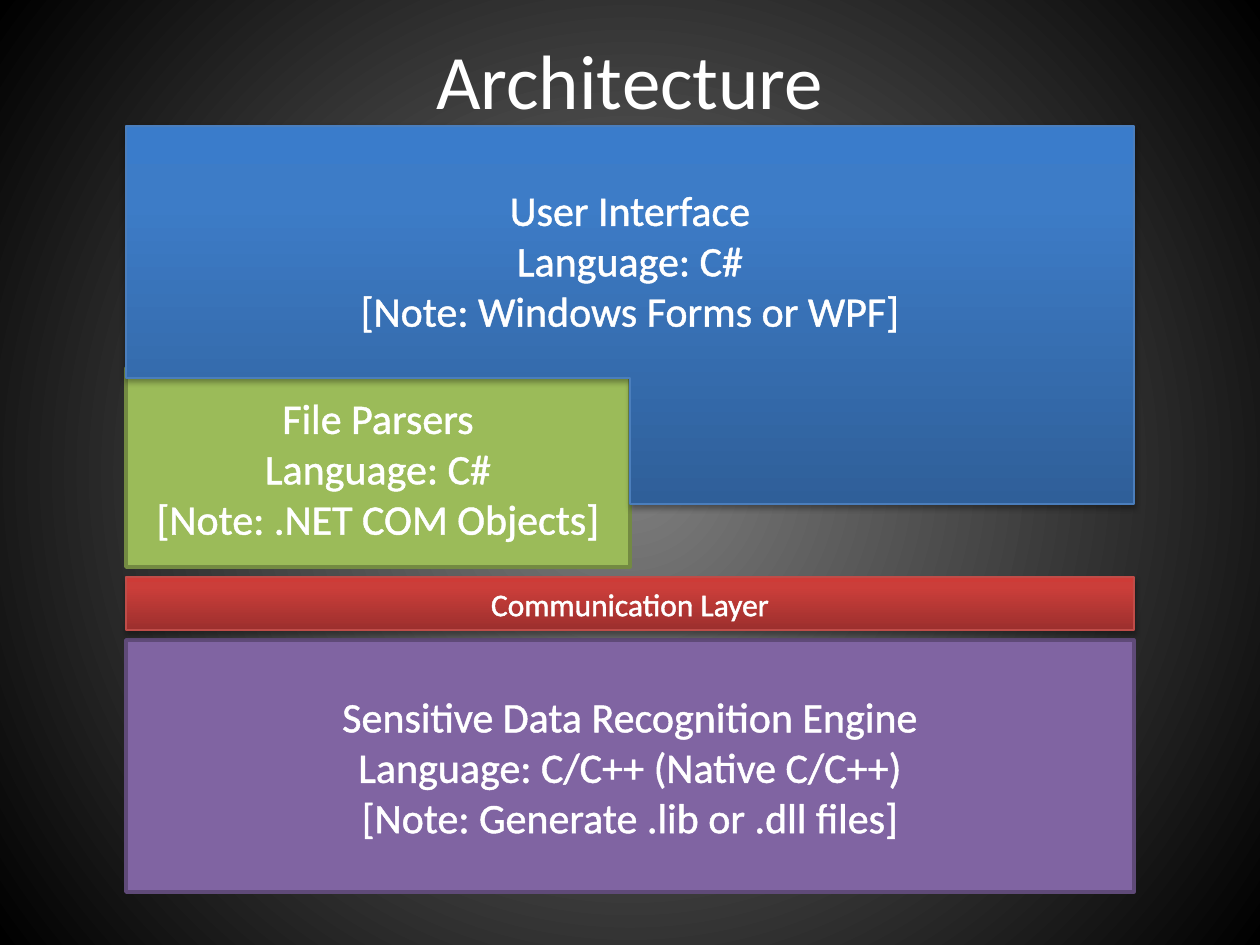
"""Build the Architecture slide: a stack of software layers."""
import pptx
import pptx.dml.color
import pptx.enum.shapes
import pptx.enum.text
import pptx.oxml
import pptx.oxml.ns
import pptx.util

Inches, Pt = pptx.util.Inches, pptx.util.Pt
RGB = pptx.dml.color.RGBColor.from_string
qn = pptx.oxml.ns.qn
MIDDLE = pptx.enum.text.MSO_ANCHOR.MIDDLE
TOP = pptx.enum.text.MSO_ANCHOR.TOP
CENTER = pptx.enum.text.PP_ALIGN.CENTER

TITLE = "Architecture"
UI = ["User Interface", "Language: C#", "[Note: Windows Forms or WPF]"]
PARSERS = ["File Parsers", "Language: C#", "[Note: .NET COM Objects]"]
LINK = ["Communication Layer"]
ENGINE = ["Sensitive Data Recognition Engine", "Language: C/C++ (Native C/C++)",
          "[Note: Generate .lib or .dll files]"]

THEME = {
    "font": "Calibri", "text": "FFFFFF", "title": 44, "body": 24, "small": 18,
    "back": [(0, "7F7F7F"), (100, "000000")],
    "blue": {"stops": [(0, "2F5F99"), (80, "3D7CC7"), (100, "3A7CCB")],
             "line": "4B7EBC", "width": 0.75},
    "red": {"stops": [(0, "9C2F2D"), (80, "CB3E3A"), (100, "CE3B37")],
            "line": "BF4C48", "width": 0.75},
    "green": {"fill": "9BBB59", "line": "738A42", "width": 2},
    "purple": {"fill": "8064A2", "line": "5F4A78", "width": 2},
}
NS = pptx.oxml.ns.nsdecls("a")
SHADE = ('<a:lin ang="16200000" scaled="0"/>')
GLOW = ('<a:path path="circle"><a:fillToRect l="50000" t="50000" '
        'r="50000" b="50000"/></a:path>')
SHADOW = (f'<a:outerShdw {NS} blurRad="40000" dist="23000" dir="5400000" rotWithShape="0">'
          '<a:srgbClr val="000000"><a:alpha val="35000"/></a:srgbClr></a:outerShdw>')
EDGE = (f'<a:ln {NS} w="18415"><a:solidFill><a:srgbClr val="{THEME["text"]}"/>'
        '</a:solidFill></a:ln>')

LEFT, WIDTH, GAP = 1, 8, 0.08
RIGHT = LEFT + WIDTH
UI_TOP, UI_STEP, UI_END = 1.08, 2.83, 4.5
HALF = LEFT + WIDTH / 2
LINK_TOP, LINK_HIGH = UI_END + GAP, 0.42
ENGINE_TOP, ENGINE_HIGH = LINK_TOP + LINK_HIGH + GAP, 2
PARSE_TOP = UI_STEP + 0.09


def blend(host, stops, kind):
    """Swap the solid fill in host for a gradient."""
    marks = "".join(f'<a:gs pos="{pos * 1000}"><a:srgbClr val="{tint}"/></a:gs>'
                    for pos, tint in stops)
    grad = pptx.oxml.parse_xml(
        f'<a:gradFill {NS} rotWithShape="1"><a:gsLst>{marks}</a:gsLst>{kind}</a:gradFill>')
    host.replace(host.find(qn("a:solidFill")), grad)


def write(shape, lines, size, edge=True, **frame):
    """Fill a shape with centred lines of text."""
    body = shape.text_frame
    for name, value in {"word_wrap": True, "vertical_anchor": MIDDLE, **frame}.items():
        setattr(body, name, value)
    body.text = "\n".join(lines)
    for para in body.paragraphs:
        para.alignment = CENTER
        run = para.runs[0]
        for name, value in {"name": THEME["font"], "size": Pt(size), "bold": False}.items():
            setattr(run.font, name, value)
        run.font.color.rgb = RGB(THEME["text"])
        if edge:
            run.font._element.insert(0, pptx.oxml.parse_xml(EDGE))


def paint(shape, look):
    """Give a shape its fill, line and shadow."""
    shape.fill.solid()
    shape.fill.fore_color.rgb = RGB(look.get("fill", look["line"]))
    shape.line.color.rgb = RGB(look["line"])
    shape.line.width = Pt(look["width"])
    shape.shadow.inherit = False
    if "stops" in look:
        props = shape._element.spPr
        blend(props, look["stops"], SHADE)
        props.find(qn("a:effectLst")).append(pptx.oxml.parse_xml(SHADOW))


def block(slide, box, lines, look, size):
    """Add one rectangular layer."""
    shape = slide.shapes.add_shape(pptx.enum.shapes.MSO_SHAPE.RECTANGLE, *map(Inches, box))
    paint(shape, THEME[look])
    write(shape, lines, size)


def main():
    """Lay out the slide and save it."""
    deck = pptx.Presentation()
    deck.slide_width, deck.slide_height = Inches(10), Inches(7.5)
    slide = deck.slides.add_slide(deck.slide_layouts[5])
    slide.background.fill.solid()
    slide.background.fill.fore_color.rgb = RGB("000000")
    blend(slide._element.find(".//" + qn("p:bgPr")), THEME["back"], GLOW)

    block(slide, (LEFT, ENGINE_TOP, WIDTH, ENGINE_HIGH), ENGINE, "purple", THEME["body"])
    block(slide, (LEFT, PARSE_TOP, HALF - LEFT, UI_END - PARSE_TOP),
          PARSERS, "green", THEME["body"])

    pen = slide.shapes.build_freeform(LEFT, UI_TOP, scale=float(Inches(1)))
    notch = HALF + GAP
    pen.add_line_segments([(RIGHT, UI_TOP), (RIGHT, UI_END), (notch, UI_END),
                           (notch, UI_STEP), (LEFT, UI_STEP)])
    shape = pen.convert_to_shape()
    paint(shape, THEME["blue"])
    write(shape, UI, THEME["body"], vertical_anchor=TOP, margin_top=Inches(0.46))

    block(slide, (LEFT, LINK_TOP, WIDTH, LINK_HIGH), LINK, "red", THEME["small"])

    title = slide.shapes.title
    spots = zip(("left", "top", "width", "height"), (0.5, 0, 9, 1.25))
    for name, value in spots:
        setattr(title, name, Inches(value))
    write(title, [TITLE], THEME["title"], edge=False)
    deck.save("out.pptx")


if __name__ == "__main__":
    main()
